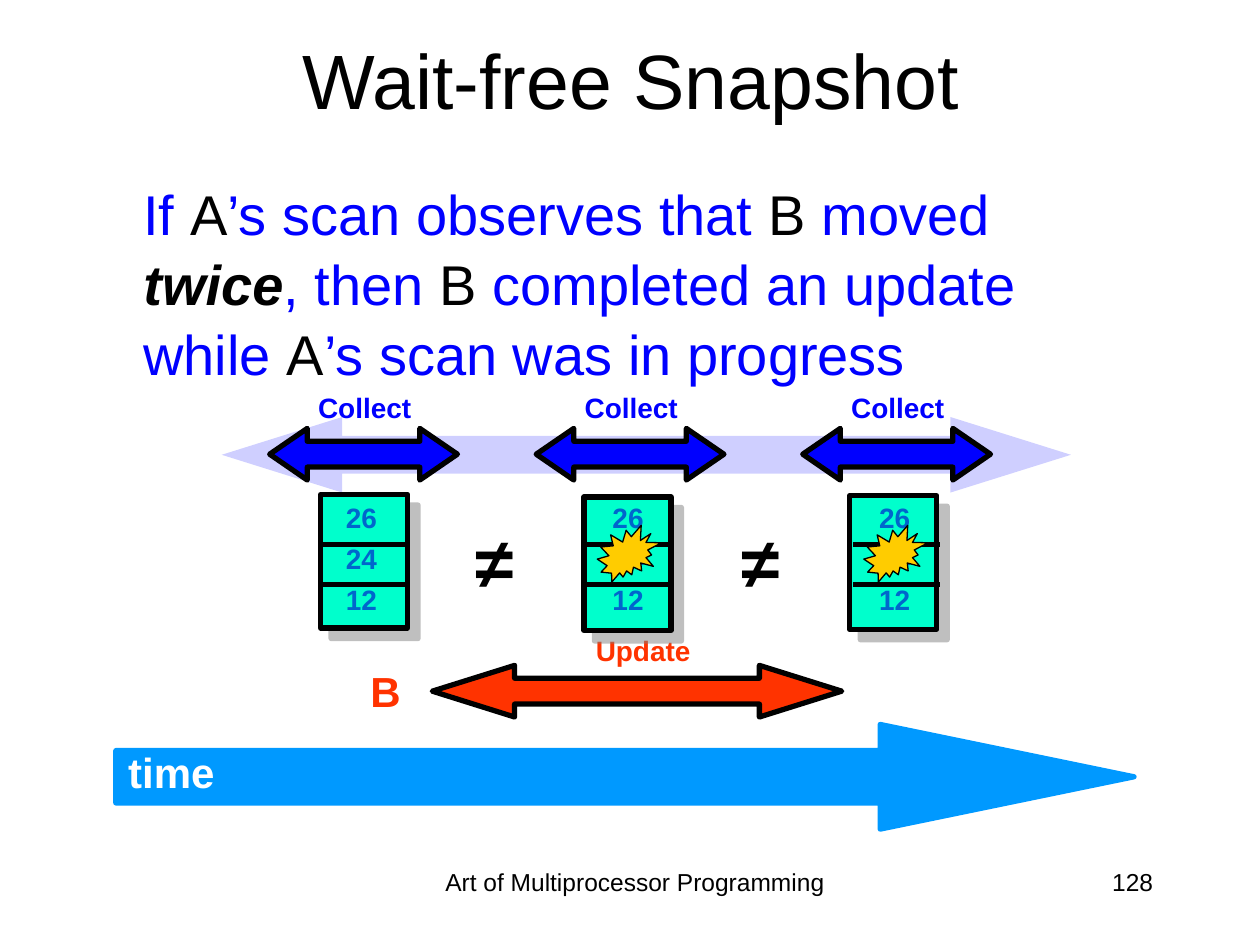
"""Build the wait-free snapshot slide with its three collects and one update."""
from lxml import etree
from pptx import Presentation
from pptx.dml.color import RGBColor
from pptx.enum import shapes, text
from pptx.oxml import ns
from pptx.util import Pt

COLORS = {
    "black": "000000", "white": "FFFFFF", "blue": "0000FF", "sky": "0099FF",
    "red": "FF3300", "mint": "00FFCC", "number": "0066CC", "gold": "FFCC00",
    "shadow": "808080",
}
SHAPE = shapes.MSO_SHAPE
ALIGN = text.PP_ALIGN
STEP = 152.3
REGISTERS = [(183.2, 282.6), (333.7, 284), (485.6, 283.3)]


def rgb(name):
    """Return the named colour."""
    return RGBColor.from_string(COLORS[name])


def add_run(p, words, size, color, bold=False, italic=False):
    """Append one formatted run to a paragraph."""
    r = p.add_run()
    r.text = words
    r.font.name = "Arial"
    r.font.size = Pt(size)
    r.font.bold = bold
    r.font.italic = italic
    r.font.color.rgb = rgb(color)


def add_text(s, box, paragraphs, size, spacing=None, align=ALIGN.LEFT, wrap=False):
    """Add a text box whose paragraphs are lists of (words, color, emphasis)."""
    tf = s.shapes.add_textbox(*map(Pt, box)).text_frame
    tf.word_wrap = wrap
    if not wrap:
        tf.auto_size = text.MSO_AUTO_SIZE.SHAPE_TO_FIT_TEXT
    for i, runs in enumerate(paragraphs):
        p = tf.paragraphs[0] if i == 0 else tf.add_paragraph()
        p.alignment = align
        p.line_spacing = spacing
        for words, color, *emphasis in runs:
            add_run(p, words, size, color, *emphasis)


def add_label(s, box, words, size, color):
    """Add a bold one-line label with tight line spacing."""
    add_text(s, box, [[(words, color, True)]], size, spacing=0.8)


def add_figure(s, kind, box, fill, line=None, width=3, adjust=()):
    """Add a filled preset shape without a shadow."""
    sp = s.shapes.add_shape(kind, *map(Pt, box))
    sp.shadow.inherit = False
    sp.fill.solid()
    sp.fill.fore_color.rgb = rgb(fill)
    if line:
        sp.line.color.rgb = rgb(line)
        sp.line.width = Pt(width)
    else:
        sp.line.fill.background()
    for i, value in enumerate(adjust):
        sp.adjustments[i] = value
    return sp


def set_alpha(parent, percent):
    """Make the colour inside an XML element partly transparent."""
    color = parent.find(".//" + ns.qn("a:srgbClr"))
    etree.SubElement(color, ns.qn("a:alpha"), val=str(percent * 1000))


def add_shadow(sp):
    """Give a shape a half-transparent shadow to the lower right."""
    effects = sp._element.spPr.find(ns.qn("a:effectLst"))
    shadow = etree.SubElement(effects, ns.qn("a:outerShdw"), dist=str(Pt(8.5)),
                              dir="2700000", algn="ctr", rotWithShape="0")
    etree.SubElement(shadow, ns.qn("a:srgbClr"), val=COLORS["shadow"])
    set_alpha(shadow, 50)


def add_divider(s, x, y):
    """Draw a horizontal line between two register cells."""
    c = s.shapes.add_connector(shapes.MSO_CONNECTOR.STRAIGHT,
                               Pt(x), Pt(y), Pt(x + 49.5), Pt(y))
    c.line.color.rgb = rgb("black")
    c.line.width = Pt(3)
    etree.SubElement(c._element.spPr, ns.qn("a:effectLst"))


def add_collect(s, index):
    """Draw one collect: its registers, values and time span."""
    dx = index * STEP
    sp = add_figure(s, SHAPE.RECTANGLE, (*REGISTERS[index], 49.7, 76.3), "mint", "black")
    add_shadow(sp)
    for y in (334.1, 311):
        add_divider(s, 183 + dx, y)
    for row, value in enumerate(("26", "24", "12")):
        add_label(s, (190.6 + dx, 286.4 + 23.4 * row, 32.4, 23), value, 16, "number")
    if index:
        add_figure(s, SHAPE.EXPLOSION2, (189 + dx, 300.2, 36.7, 32.4), "gold", "black", 0.75)
    add_figure(s, SHAPE.LEFT_RIGHT_ARROW, (154.1 + dx, 244.8, 107.3, 29.5),
               "blue", "black", adjust=(0.5, 0.729))
    add_label(s, (174.7 + dx, 223.4, 68.4, 23), "Collect", 16, "blue")


def add_title(s, words):
    """Place and format the title."""
    sp = s.shapes.title
    sp.left, sp.top, sp.width, sp.height = map(Pt, (54.7, 0, 612, 90))
    tf = sp.text_frame
    tf.vertical_anchor = text.MSO_ANCHOR.MIDDLE
    p = tf.paragraphs[0]
    p.alignment = ALIGN.CENTER
    add_run(p, words, 44, "black")


def add_time(s):
    """Draw the time axis arrow with its label."""
    sp = add_figure(s, SHAPE.RIGHT_ARROW, (66.2, 414, 581.8, 59.8), "sky", "sky",
                    adjust=(0.5, 2.425))
    tf = sp.text_frame
    tf.word_wrap = False
    tf.vertical_anchor = text.MSO_ANCHOR.MIDDLE
    p = tf.paragraphs[0]
    p.alignment = ALIGN.LEFT
    p.line_spacing = 0.8
    add_run(p, "time", 24, "white", True)


def add_update(s):
    """Draw the update by B."""
    add_figure(s, SHAPE.LEFT_RIGHT_ARROW, (247, 380.2, 234, 29.5), "red", "black",
               adjust=(0.5, 1.595))
    add_label(s, (333.4, 362.2, 69.8, 22.3), "Update", 16, "red")
    add_label(s, (204.5, 382.3, 32.4, 30.2), "B", 24, "red")


def main():
    """Build and save the slide."""
    prs = Presentation()
    prs.slide_width, prs.slide_height = Pt(720), Pt(540)
    s = prs.slides.add_slide(prs.slide_layouts[5])
    sp = add_figure(s, SHAPE.LEFT_RIGHT_ARROW, (126.7, 238.3, 485.3, 43.2), "blue",
                    adjust=(0.5, 1.595))
    set_alpha(sp._element.spPr, 19)
    add_title(s, "Wait-free Snapshot")
    add_text(s, (74.9, 97.5, 516.2, 123.8), [
        [("If ", "blue"), ("A", "black"), ("’s scan observes that ", "blue"),
         ("B", "black"), (" moved", "blue")],
        [("twice", "black", True, True), (", then ", "blue"), ("B", "black"),
         (" completed an update", "blue")],
        [("while ", "blue"), ("A", "black"), ("’s scan was in progress", "blue")],
    ], 32, spacing=1.04)
    add_time(s)
    add_update(s)
    for i in range(2):
        add_text(s, (264.4 + i * STEP, 293, 36.7, 55.4), [[("≠", "black", True)]], 40)
    for i in range(len(REGISTERS)):
        add_collect(s, i)
    add_text(s, (239.8, 491.8, 246.2, 37.4),
             [[("Art of Multiprocessor Programming", "black")]], 14,
             align=ALIGN.CENTER, wrap=True)
    add_text(s, (516.2, 491.8, 149.8, 36), [[("128", "black")]], 14,
             align=ALIGN.RIGHT, wrap=True)
    prs.save("out.pptx")


if __name__ == "__main__":
    main()
